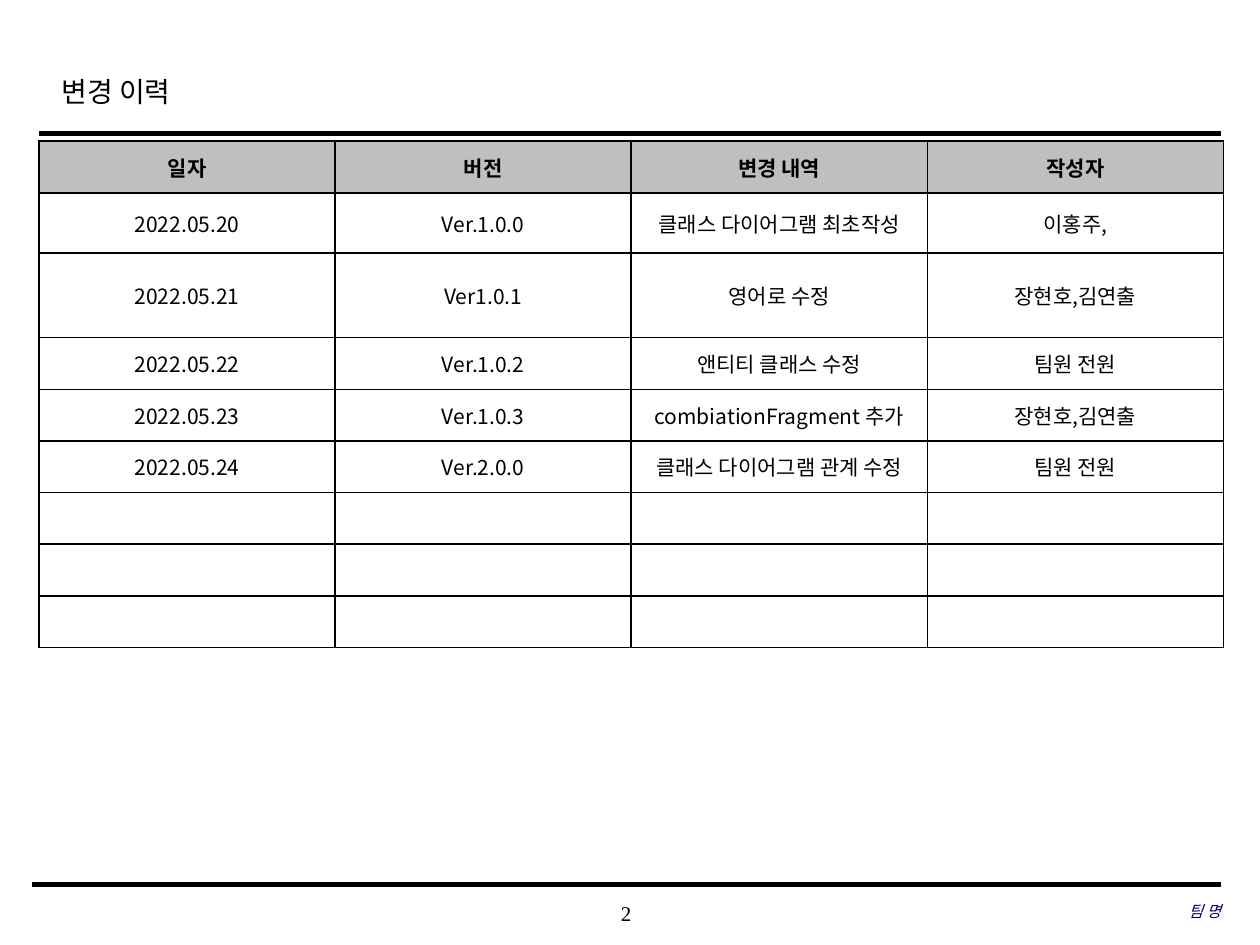
from lxml import etree
from pptx import Presentation
from pptx.dml.color import RGBColor
from pptx.enum.shapes import MSO_CONNECTOR
from pptx.enum.text import MSO_ANCHOR, PP_ALIGN
from pptx.oxml.ns import qn
from pptx.util import Inches, Pt

LEFT, CENTER, RIGHT = PP_ALIGN.LEFT, PP_ALIGN.CENTER, PP_ALIGN.RIGHT
TOP, MIDDLE = MSO_ANCHOR.TOP, MSO_ANCHOR.MIDDLE
STRAIGHT = MSO_CONNECTOR.STRAIGHT

COLORS = {"ink": "000000", "team": "000066", "header": "BFBFBF", "paper": "FFFFFF"}
SERIF, KOREAN = "Times New Roman", "Noto Sans CJK KR"


class PageBuilder:
    """Holds the style and the current slide."""

    def __init__(self, page):
        self.page = page

    def color(self, name):
        return RGBColor.from_string(COLORS[name])

    def style(self, para, size, align, font=SERIF, color="ink", bold=False, italic=False):
        para.alignment = align
        para.font.name = font
        para.font.size = Pt(size)
        para.font.bold = bold
        para.font.italic = italic
        para.font.color.rgb = self.color(color)
        # East Asian typeface
        properties = para._p.pPr.find(qn("a:defRPr"))
        etree.SubElement(properties, qn("a:ea"), typeface=KOREAN)

    def text(self, words, left, top, width, height, size, align,
             anchor=MIDDLE, margins=(0, 0), spacing=None, **look):
        box = self.page.shapes.add_textbox(*map(Inches, (left, top, width, height)))
        frame = box.text_frame
        frame.word_wrap = True
        frame.vertical_anchor = anchor
        frame.margin_left = frame.margin_right = Inches(margins[0])
        frame.margin_top = frame.margin_bottom = Inches(margins[1])
        para = frame.paragraphs[0]
        para.text = words
        if spacing:
            para.line_spacing = spacing
        self.style(para, size, align, **look)

    def rule(self, left, right, y, weight):
        line = self.page.shapes.add_connector(
            STRAIGHT, Inches(left), Inches(y), Inches(right), Inches(y))
        line.line.color.rgb = self.color("ink")
        line.line.width = Pt(weight)
        etree.SubElement(line._element.spPr, qn("a:effectLst"))

    def borders(self, cell, weight):
        properties = cell._tc.get_or_add_tcPr()
        for side in ("lnL", "lnR", "lnT", "lnB"):
            edge = etree.SubElement(properties, qn(f"a:{side}"), w=str(Pt(weight)))
            fill = etree.SubElement(edge, qn("a:solidFill"))
            etree.SubElement(fill, qn("a:srgbClr"), val=COLORS["ink"])

    def table(self, rows, left, top, column_width, heights):
        columns = len(rows[0])
        table = self.page.shapes.add_table(
            len(heights), columns, Inches(left), Inches(top),
            Inches(column_width * columns), Inches(sum(heights))).table
        for column in table.columns:
            column.width = Inches(column_width)
        for index, height in enumerate(heights):
            table.rows[index].height = Inches(height)
            words = rows[index] if index < len(rows) else [""] * columns
            for cell, word in zip(table.rows[index].cells, words):
                self.borders(cell, 1)
                cell.fill.solid()
                cell.fill.fore_color.rgb = self.color("paper" if index else "header")
                cell.vertical_anchor = MIDDLE
                para = cell.text_frame.paragraphs[0]
                if word:
                    para.text = word
                self.style(para, 12, CENTER, font=KOREAN, bold=index == 0)


HISTORY = [
    ("일자", "버전", "변경 내역", "작성자"),
    ("2022.05.20", "Ver.1.0.0", "클래스 다이어그램 최초작성", "이홍주,"),
    ("2022.05.21", "Ver1.0.1", "영어로 수정", "장현호,김연출"),
    ("2022.05.22", "Ver.1.0.2", "앤티티 클래스 수정", "팀원 전원"),
    ("2022.05.23", "Ver.1.0.3", "combiationFragment 추가", "장현호,김연출"),
    ("2022.05.24", "Ver.2.0.0", "클래스 다이어그램 관계 수정", "팀원 전원"),
]
ROW_HEIGHTS = [0.41, 0.48, 0.67] + [0.41] * 6

deck = Presentation()
deck.slide_width, deck.slide_height = Inches(10), Inches(7.5)
builder = PageBuilder(deck.slides.add_slide(deck.slide_layouts[6]))

# Page number and rules
builder.text("2", 3.93, 7.08, 2.08, 0.33, 12, CENTER)
builder.rule(0.31, 9.69, 1.06, 2.5)
builder.rule(0.25, 9.69, 7.02, 3)

# Title and team name
builder.text("변경 이력", 0.39, 0.49, 7.55, 0.5, 16, LEFT,
             anchor=TOP, margins=(0.1, 0.05), spacing=1.2)
builder.text("팀 명", 6.63, 7.07, 3.06, 0.33, 9, RIGHT, color="team", italic=True)

# Change history
builder.table(HISTORY, 0.31, 1.12, 2.35, ROW_HEIGHTS)

deck.save("out.pptx")
